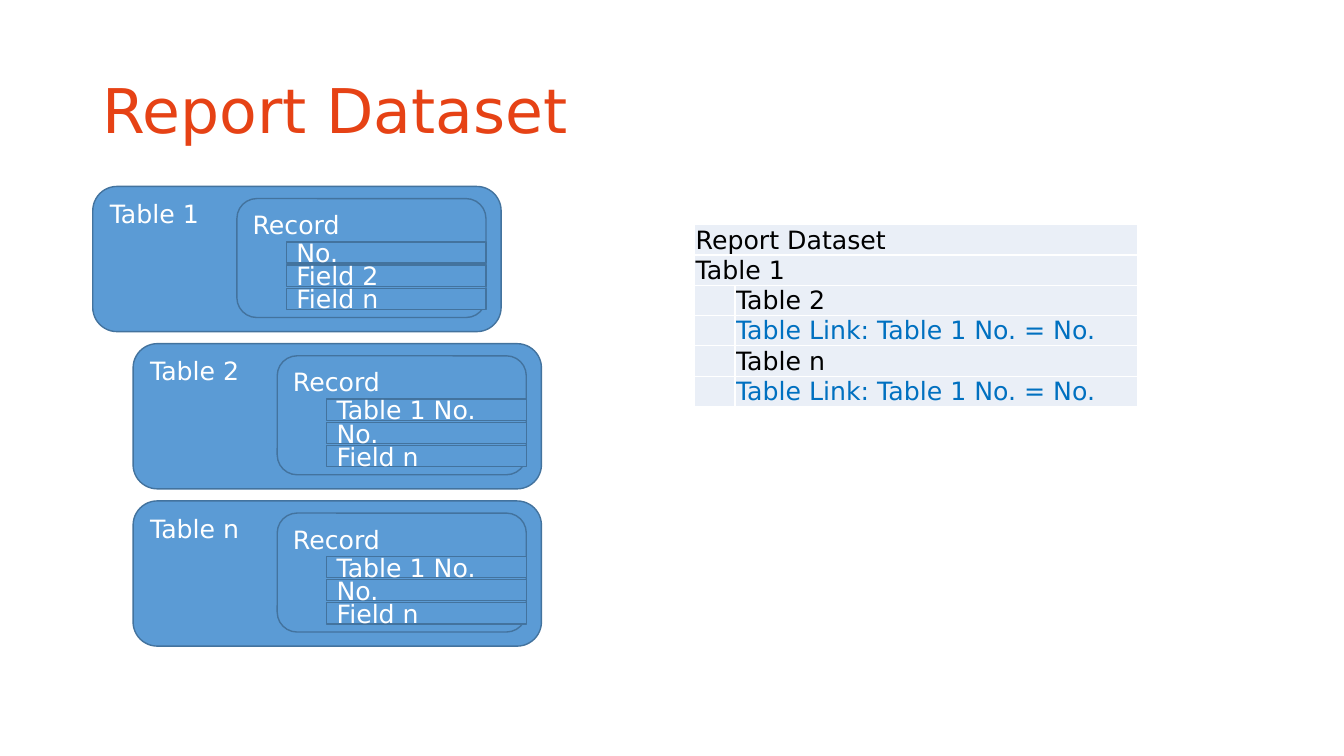
from lxml import etree
from pptx import Presentation
from pptx.dml.color import RGBColor
from pptx.enum.shapes import MSO_SHAPE as SHAPE
from pptx.enum.text import MSO_ANCHOR as ANCHOR, MSO_AUTO_SIZE as AUTO_SIZE, PP_ALIGN as ALIGN
from pptx.oxml.ns import qn
from pptx.util import Emu, Pt

PX = 9144  # one px is 1/100 inch
FONT = "DejaVu Sans"
WHITE, BLACK = "FFFFFF", "000000"
ORANGE, LINK_BLUE = "E64215", "0070C0"
BOX_FILL, BOX_LINE, CELL_FILL = "5B9BD5", "43739E", "EAEFF7"


def px(n):
    return Emu(n * PX)


def rgb(value):
    return RGBColor.from_string(value)


def style_text(tf, size, color):
    p = tf.paragraphs[0]
    p.alignment = ALIGN.LEFT
    for r in p.runs:
        r.font.name = FONT
        r.font.size = Pt(size)
        r.font.color.rgb = rgb(color)


def add_title(s, text):
    title = s.shapes.title
    title.left, title.top, title.width, title.height = px(92), px(40), px(1150), px(145)
    tf = title.text_frame
    tf.text = text
    tf.word_wrap = True
    tf.auto_size = AUTO_SIZE.NONE
    tf.vertical_anchor = ANCHOR.MIDDLE
    tf.paragraphs[0].line_spacing = 0.9
    style_text(tf, 44, ORANGE)


def add_box(s, kind, x, y, w, h, text, anchor=ANCHOR.TOP):
    sp = s.shapes.add_shape(kind, px(x), px(y), px(w), px(h))
    sp.shadow.inherit = False
    sp.fill.solid()
    sp.fill.fore_color.rgb = rgb(BOX_FILL)
    sp.line.color.rgb = rgb(BOX_LINE)
    sp.line.width = Pt(1)
    tf = sp.text_frame
    tf.text = text
    tf.word_wrap = True
    tf.vertical_anchor = anchor
    style_text(tf, 18, WHITE)


def add_table_card(s, x, y, name, fields):
    """A table box holding a record box with its stack of fields."""
    add_box(s, SHAPE.ROUNDED_RECTANGLE, x, y, 405, 144, name)
    add_box(s, SHAPE.ROUNDED_RECTANGLE, x + 143, y + 12, 247, 118, "Record")
    for i, field in enumerate(fields):
        add_box(s, SHAPE.RECTANGLE, x + 192, y + 55 + 23 * i, 198, 21, field, ANCHOR.MIDDLE)


def add_borders(cell, color):
    tc_pr = cell._tc.get_or_add_tcPr()
    for side in ("a:lnL", "a:lnR", "a:lnT", "a:lnB"):
        ln = etree.SubElement(tc_pr, qn(side), w=str(Pt(1)))
        fill = etree.SubElement(ln, qn("a:solidFill"))
        etree.SubElement(fill, qn("a:srgbClr"), val=color)


def format_cell(cell, text, color):
    add_borders(cell, WHITE)
    cell.fill.solid()
    cell.fill.fore_color.rgb = rgb(CELL_FILL)
    cell.margin_left = cell.margin_right = cell.margin_top = px(1)
    cell.margin_bottom = 0
    cell.vertical_anchor = ANCHOR.BOTTOM
    if text:
        cell.text_frame.text = text
        style_text(cell.text_frame, 18, color)
    else:
        # Keep empty cells from stretching the row
        end = etree.SubElement(cell.text_frame.paragraphs[0]._p, qn("a:endParaRPr"))
        end.set("sz", "1200")


def add_dataset_table(s, rows):
    """Rows are (indent level, text, colour); level 0 spans both columns."""
    frame = s.shapes.add_table(len(rows), 2, px(689), px(223), px(439), px(30 * len(rows)))
    table = frame.table
    table.first_row = table.horz_banding = False
    table.columns[0].width, table.columns[1].width = px(40), px(399)
    for i, (level, text, color) in enumerate(rows):
        if level == 0:
            table.cell(i, 0).merge(table.cell(i, 1))
        for col in range(2):
            format_cell(table.cell(i, col), text if col == level else "", color)


def main():
    prs = Presentation()
    prs.slide_width, prs.slide_height = px(1333), px(750)
    s = prs.slides.add_slide(prs.slide_layouts[5])
    add_title(s, "Report Dataset")

    # Source tables, linked ones indented
    cards = [
        (92, "Table 1", ["No.", "Field 2", "Field n"]),
        (132, "Table 2", ["Table 1 No.", "No.", "Field n"]),
        (132, "Table n", ["Table 1 No.", "No.", "Field n"]),
    ]
    for i, (x, name, fields) in enumerate(cards):
        add_table_card(s, x, 185 + 156 * i, name, fields)

    # Resulting dataset
    link = (1, "Table Link: Table 1 No. = No.", LINK_BLUE)
    add_dataset_table(s, [
        (0, "Report Dataset", BLACK),
        (0, "Table 1", BLACK),
        (1, "Table 2", BLACK),
        link,
        (1, "Table n", BLACK),
        link,
    ])
    prs.save("out.pptx")


if __name__ == "__main__":
    main()
